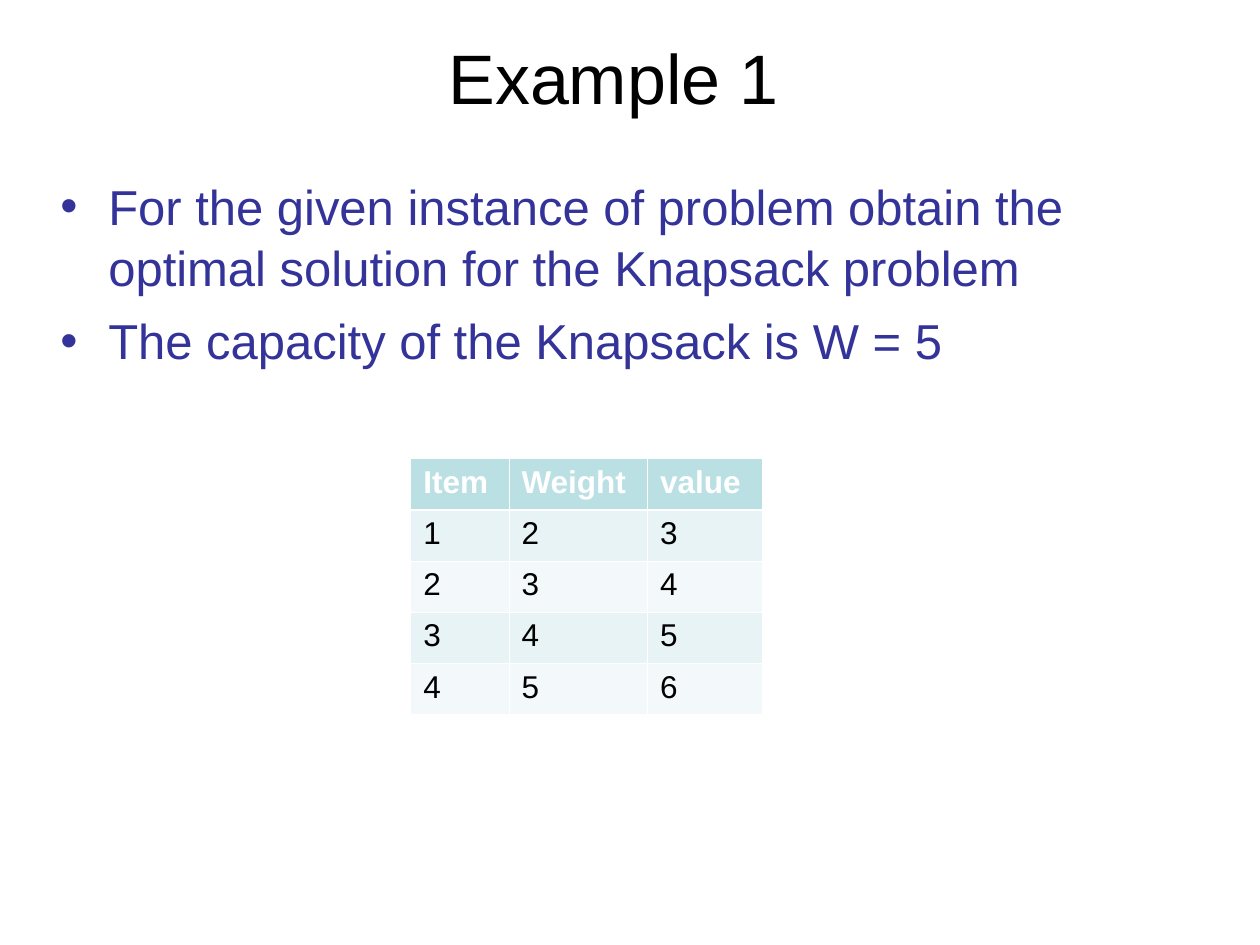
"""Build the knapsack example slide with its item table."""
from lxml import etree
from pptx import Presentation
from pptx.dml.color import RGBColor
from pptx.enum.text import MSO_ANCHOR, PP_ALIGN
from pptx.oxml.ns import qn
from pptx.util import Inches, Pt

CENTER = PP_ALIGN.CENTER
TOP = MSO_ANCHOR.TOP
MIDDLE = MSO_ANCHOR.MIDDLE
FONT = "Arial"
COLORS = {"title": "000000", "body": "333399", "white": "FFFFFF", "text": "000000",
          "header": "BBE0E3", "odd": "E7F3F4", "even": "F3F9FA"}
BULLETS = ["For the given instance of problem obtain the optimal solution for the Knapsack problem",
           "The capacity of the Knapsack is W = 5"]
ITEMS = [("Item", "Weight", "value"), (1, 2, 3), (2, 3, 4), (3, 4, 5), (4, 5, 6)]
COLUMN_WIDTHS = [0.78, 1.1, 0.91]
ROW_HEIGHT = 0.406


def format_runs(para, size, color, bold=False):
    for span in para.runs:
        span.font.name = FONT
        span.font.size = Pt(size)
        span.font.bold = bold
        span.font.color.rgb = RGBColor.from_string(COLORS[color])


def add_border(cell, side, width):
    line = etree.SubElement(cell._tc.get_or_add_tcPr(), qn(f"a:{side}"), w=str(Pt(width)))
    fill = etree.SubElement(line, qn("a:solidFill"))
    etree.SubElement(fill, qn("a:srgbClr"), val=COLORS["white"])


deck = Presentation()
deck.slide_width, deck.slide_height = Inches(10), Inches(7.5)
page = deck.slides.add_slide(deck.slide_layouts[1])
title, body = page.placeholders

title.left, title.top, title.width, title.height = map(Inches, (0.37, 0.11, 9, 0.99))
title.text_frame.text = "Example 1"
title.text_frame.vertical_anchor = MIDDLE
title.text_frame.paragraphs[0].alignment = CENTER
format_runs(title.text_frame.paragraphs[0], 40, "title")

body.left, body.top, body.width, body.height = map(Inches, (0.38, 1.33, 9, 5.55))
body.text_frame.text = "\n".join(BULLETS)
body.text_frame.vertical_anchor = TOP
for index, para in enumerate(body.text_frame.paragraphs):
    properties = para._p.get_or_add_pPr()
    properties.set("marL", str(Inches(0.38)))
    properties.set("indent", str(-Inches(0.38)))
    bullet_color = etree.SubElement(properties, qn("a:buClr"))
    etree.SubElement(bullet_color, qn("a:srgbClr"), val=COLORS["body"])
    etree.SubElement(properties, qn("a:buFont"), typeface=FONT)
    etree.SubElement(properties, qn("a:buChar"), char="•")
    para.line_spacing = 1.04
    para.space_before = Pt(7 if index else 0)
    format_runs(para, 28, "body")

frame = page.shapes.add_table(len(ITEMS), len(COLUMN_WIDTHS), Inches(3.26), Inches(3.64),
                              Inches(sum(COLUMN_WIDTHS)), Inches(ROW_HEIGHT * len(ITEMS)))
table = frame.table
for column, width in zip(table.columns, COLUMN_WIDTHS):
    column.width = Inches(width)
for row_index, values in enumerate(ITEMS):
    table.rows[row_index].height = Inches(ROW_HEIGHT)
    is_header = row_index == 0
    shade = "header" if is_header else "odd" if row_index % 2 else "even"
    widths = {"lnL": 0.45, "lnR": 0.45, "lnT": 1.47 if row_index == 1 else 0.45,
              "lnB": 1.47 if is_header else 0.45}
    for column_index, value in enumerate(values):
        cell = table.cell(row_index, column_index)
        cell.text_frame.text = str(value)
        format_runs(cell.text_frame.paragraphs[0], 18, "white" if is_header else "text", is_header)
        for side, width in widths.items():
            add_border(cell, side, width)
        cell.fill.solid()
        cell.fill.fore_color.rgb = RGBColor.from_string(COLORS[shade])

deck.save("out.pptx")
